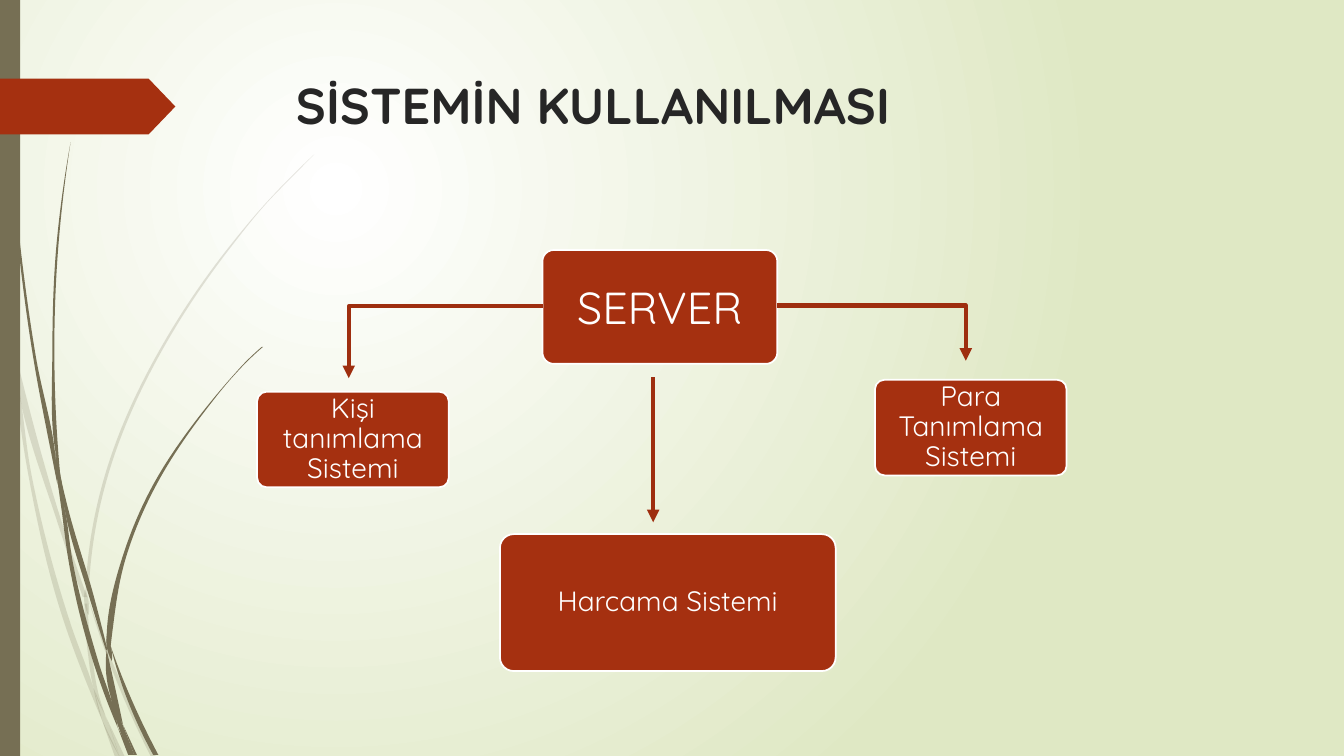
from typing import NamedTuple

from lxml import etree
from pptx import Presentation
from pptx import util as u
from pptx.dml.color import RGBColor
from pptx.enum import shapes, text
from pptx.oxml import ns

RUST = RGBColor(0xA5, 0x30, 0x10)
ARROW = RGBColor(0x9E, 0x2E, 0x0F)
OLIVE = RGBColor(0x76, 0x6F, 0x54)
LIME = RGBColor(0xDF, 0xE8, 0xC4)
WHITE = RGBColor(0xFF, 0xFF, 0xFF)
INK = RGBColor(0x26, 0x26, 0x26)
FONT = "Quicksand"


class Box(NamedTuple):
    label: str
    left: float
    top: float
    width: float
    height: float
    size: int = 20
    space: float = 0.9


class Arrow(NamedTuple):
    start: tuple[float, float]
    end: tuple[float, float]
    bent: bool = True


class Row(NamedTuple):
    """One level of a grass blade, in cm."""
    y: float
    left: float
    right: float


BOXES = [
    Box("SERVER", 13.67, 6.3, 5.92, 2.87, 32, 1.0),
    Box("Kişi tanımlama Sistemi", 6.48, 9.87, 4.83, 2.41),
    Box("Para Tanımlama Sistemi", 22.05, 9.57, 4.83, 2.41),
    Box("Harcama Sistemi", 12.6, 13.46, 8.46, 3.45),
]

ARROWS = [
    Arrow((19.58, 7.7), (24.34, 9.09)),
    Arrow((13.69, 7.72), (8.79, 9.53)),
    Arrow((16.46, 9.5), (16.46, 13.16), bent=False),
]

PALE = [
    [(7.16, 0, 0), (8.18, 0.13, 0.23), (8.89, 0.28, 0.28)],
    [(8.76, 0.36, 0.36), (9.55, 0.43, 0.55), (13.23, 1.47, 1.58), (15.05, 2.09, 2.2)],
    [(15.14, 2.24, 2.24), (17.6, 3.12, 3.23), (19.08, 3.81, 3.94)],
    [(18.06, 2.67, 2.67), (19.08, 3.02, 3.15)],
    [(8.89, 0.28, 0.28), (9.55, 0.36, 0.43), (11.94, 0.71, 0.79),
     (15.75, 1.64, 1.79), (17.35, 2.24, 2.36), (18.14, 2.57, 2.57)],
    [(15.21, 2.13, 2.2), (16.41, 2.21, 2.31), (17.58, 2.44, 2.51), (18.06, 2.67, 2.67)],
    [(3.89, 7.92, 7.92), (4.45, 7.34, 7.37), (5, 6.81, 6.83), (6.2, 5.79, 5.84),
     (8.84, 4.01, 4.08), (11.73, 2.72, 2.8), (14.88, 2.16, 2.24)],
    [(18.14, 2.57, 2.57), (19.08, 2.9, 3.02)],
    [(14.88, 2.14, 2.17), (15.21, 2.13, 2.24), (15.49, 2.22, 2.24)],
    [(17.35, 2.36, 2.36), (17.96, 2.51, 2.62), (19.08, 3.02, 3.02)],
]

DARK = [
    [(0, 0.08, 0.1), (1.22, 0.1, 0.13), (2.79, 0.18, 0.2), (5.92, 0.43, 0.48),
     (9.02, 0.84, 0.91), (11.51, 1.31, 1.4), (12.22, 1.45, 1.45)],
    [(11.99, 1.52, 1.52), (12.83, 1.63, 1.72), (15.01, 2.24, 2.36), (16.38, 2.67, 2.71)],
    [(16.28, 2.79, 2.79), (17.95, 3.34, 3.46), (19.02, 3.86, 3.99)],
    [(12.12, 1.45, 1.45), (12.83, 1.55, 1.63), (14.14, 1.73, 1.83),
     (16.71, 2.36, 2.49), (17.98, 2.82, 2.9), (18.34, 2.97, 2.97)],
    [(3.58, 1.78, 1.78), (4.9, 1.57, 1.6), (6.22, 1.42, 1.47),
     (8.86, 1.32, 1.37), (11.4, 1.4, 1.47), (11.99, 1.52, 1.52)],
    [(18.26, 3.1, 3.1), (19.02, 3.38, 3.45)],
    [(11.4, 1.4, 1.4), (12.12, 1.45, 1.55), (12.83, 1.63, 1.63)],
    [(8.74, 6.6, 6.63), (9.09, 6.22, 6.25), (9.47, 5.87, 5.89), (10.29, 5.18, 5.22),
     (12.04, 3.96, 4.04), (14, 3.1, 3.19), (16.03, 2.69, 2.82), (16.28, 2.69, 2.79)],
    [(18.34, 2.97, 2.97), (19.02, 3.23, 3.33)],
    [(16.38, 2.69, 2.69), (17.55, 2.79, 2.95), (18.26, 3.1, 3.1)],
    [(16.03, 2.69, 2.69), (16.28, 2.69, 2.79), (16.66, 2.82, 2.82)],
    [(17.55, 2.79, 2.79), (18.21, 2.95, 3.07), (19.02, 3.3, 3.38)],
]


def add_xml(parent, tag: str, **attrs: str):
    return etree.SubElement(parent, ns.qn(tag), attrs)


def curve(ys: list[float], xs: list[float]) -> list[tuple[int, int]]:
    """Give the points, with two Bezier handles between each pair."""
    gaps = [b - a for a, b in zip(ys, ys[1:])]
    rise = [(b - a) / gap for a, b, gap in zip(xs, xs[1:], gaps)]
    inner = [(rise[i] * gaps[i + 1] + rise[i + 1] * gaps[i]) / (gaps[i] + gaps[i + 1])
             for i in range(len(gaps) - 1)] or rise
    slopes = [2 * rise[0] - inner[0], *inner, 2 * rise[-1] - inner[-1]]
    if len(gaps) == 1:
        slopes = rise * 2
    points = [(xs[0], ys[0])]
    for i, gap in enumerate(gaps):
        third = gap / 3
        points += [(xs[i] + slopes[i] * third, ys[i] + third),
                   (xs[i + 1] - slopes[i + 1] * third, ys[i + 1] - third),
                   (xs[i + 1], ys[i + 1])]
    return [(u.Cm(x), u.Cm(y)) for x, y in points]


def bend(lines: list) -> None:
    """Turn each three line steps into one Bezier step."""
    for first, second, third in zip(*[iter(lines)] * 3):
        first.tag = ns.qn("a:cubicBezTo")
        for step in (second, third):
            first.append(step[0])
            step.getparent().remove(step)


def paint(shape, fill: RGBColor) -> None:
    shape.shadow.inherit = False
    shape.fill.solid()
    shape.fill.fore_color.rgb = fill
    shape.line.fill.background()


def draw_blade(slide, rows: list[Row], alpha: int) -> None:
    ys = [row.y for row in rows]
    left = curve(ys, [row.left for row in rows])
    right = curve(ys, [row.right for row in rows])[::-1]
    pen = slide.shapes.build_freeform(*left[0])
    pen.add_line_segments(left[1:] + right, close=True)
    shape = pen.convert_to_shape()
    paint(shape, OLIVE)
    props = shape.element.spPr
    lines = list(props.iter(ns.qn("a:lnTo")))
    side = len(left) - 1
    bend(lines[:side])
    bend(lines[side + 1:side * 2 + 1])
    if alpha < 100:
        color = next(props.iter(ns.qn("a:srgbClr")))
        add_xml(color, "a:alpha", val=str(alpha * 1000))


def write(frame, label: str, size: int, color: RGBColor, bold: bool = False) -> None:
    frame.word_wrap = True
    frame.text = label
    font = frame.paragraphs[0].runs[0].font
    font.name, font.size, font.bold = FONT, u.Pt(size), bold
    font.color.rgb = color


def draw_back(slide) -> None:
    fill = slide.background.fill
    fill.gradient()
    for stop, color, place in zip(fill.gradient_stops, (WHITE, LIME), (0, 1)):
        stop.color.rgb = color
        stop.position = place
    grad = next(slide.element.iter(ns.qn("a:gradFill")))
    grad.remove(grad.find(ns.qn("a:lin")))
    ring = add_xml(grad, "a:path", path="circle")
    add_xml(ring, "a:fillToRect", l="50000", t="50000", r="100000", b="100000")


def draw_shape(slide, kind, *place: float, fill: RGBColor):
    shape = slide.shapes.add_shape(kind, *(u.Cm(v) for v in place))
    paint(shape, fill)
    return shape


def draw_box(slide, box: Box) -> None:
    shape = draw_shape(slide, shapes.MSO_SHAPE.ROUNDED_RECTANGLE, *box[1:5], fill=RUST)
    shape.adjustments[0] = 0.1
    shape.line.color.rgb = WHITE
    shape.line.width = u.Pt(1.25)
    frame = shape.text_frame
    write(frame, box.label, box.size, WHITE)
    frame.vertical_anchor = text.MSO_ANCHOR.MIDDLE
    frame.margin_left = frame.margin_right = u.Cm(0.03)
    frame.margin_top = frame.margin_bottom = u.Cm(0.03)
    frame.paragraphs[0].alignment = text.PP_ALIGN.CENTER
    frame.paragraphs[0].line_spacing = box.space


def draw_arrow(slide, arrow: Arrow) -> None:
    kinds = shapes.MSO_CONNECTOR
    kind = kinds.ELBOW if arrow.bent else kinds.STRAIGHT
    line = slide.shapes.add_connector(kind, *(u.Cm(v) for v in arrow.start + arrow.end))
    line.line.color.rgb = ARROW
    line.line.width = u.Pt(3)
    props = line.element.spPr
    add_xml(props.find(ns.qn("a:ln")), "a:tailEnd", type="triangle")
    add_xml(props, "a:effectLst")
    if arrow.bent:
        guides = next(props.iter(ns.qn("a:avLst")))
        add_xml(guides, "a:gd", name="adj1", fmla="val 100000")


def main() -> None:
    deck = Presentation()
    deck.slide_width, deck.slide_height = u.Cm(33.87), u.Cm(19.05)
    slide = deck.slides.add_slide(deck.slide_layouts[6])
    draw_back(slide)
    for blades, alpha in ((PALE, 20), (DARK, 100)):
        for rows in blades:
            draw_blade(slide, [Row(*row) for row in rows], alpha)
    kinds = shapes.MSO_SHAPE
    draw_shape(slide, kinds.RECTANGLE, 0, 0, 0.51, 19.05, fill=OLIVE)
    flag = draw_shape(slide, kinds.PENTAGON, 0, 1.98, 4.42, 1.41, fill=RUST)
    flag.adjustments[0] = 0.48
    title = slide.shapes.add_textbox(u.Cm(7.21), u.Cm(1.75), u.Cm(24.77), u.Cm(3.56))
    write(title.text_frame, "SİSTEMİN KULLANILMASI", 36, INK, bold=True)
    for box in BOXES:
        draw_box(slide, box)
    for arrow in ARROWS:
        draw_arrow(slide, arrow)
    deck.save("out.pptx")


if __name__ == "__main__":
    main()
